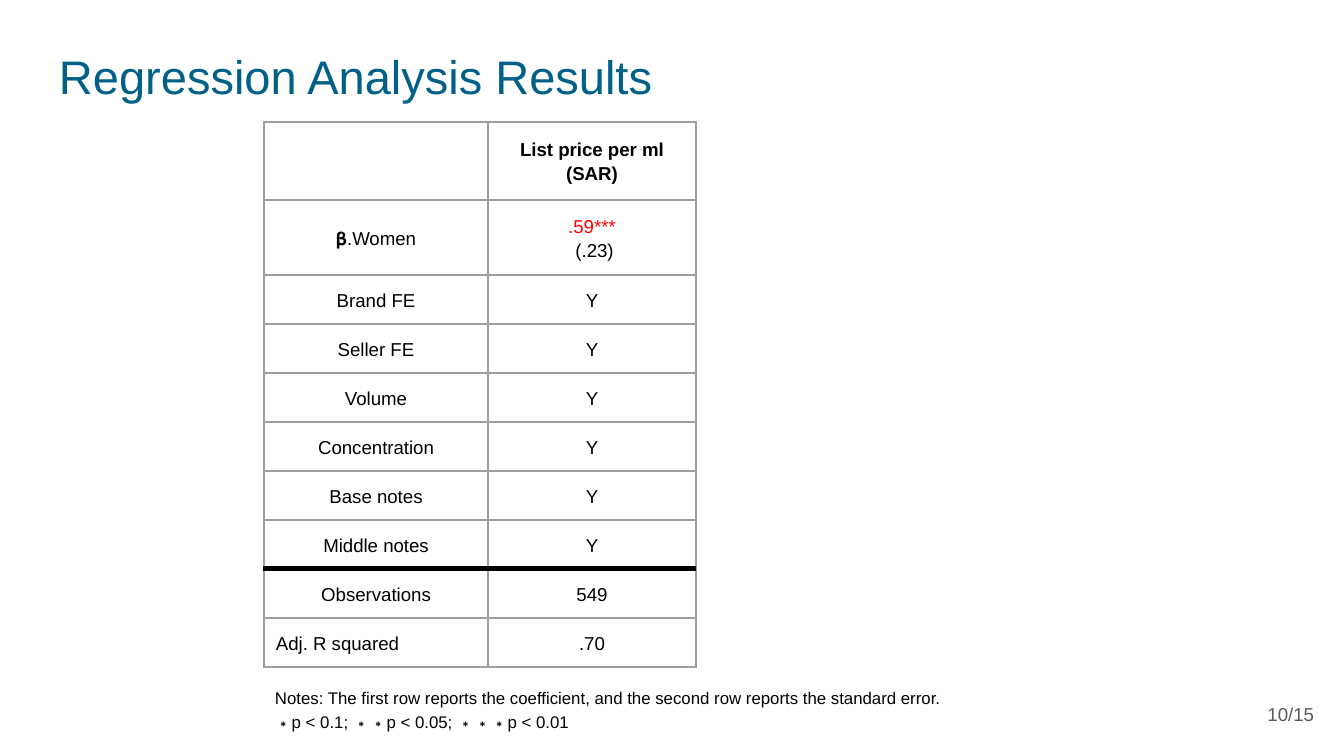
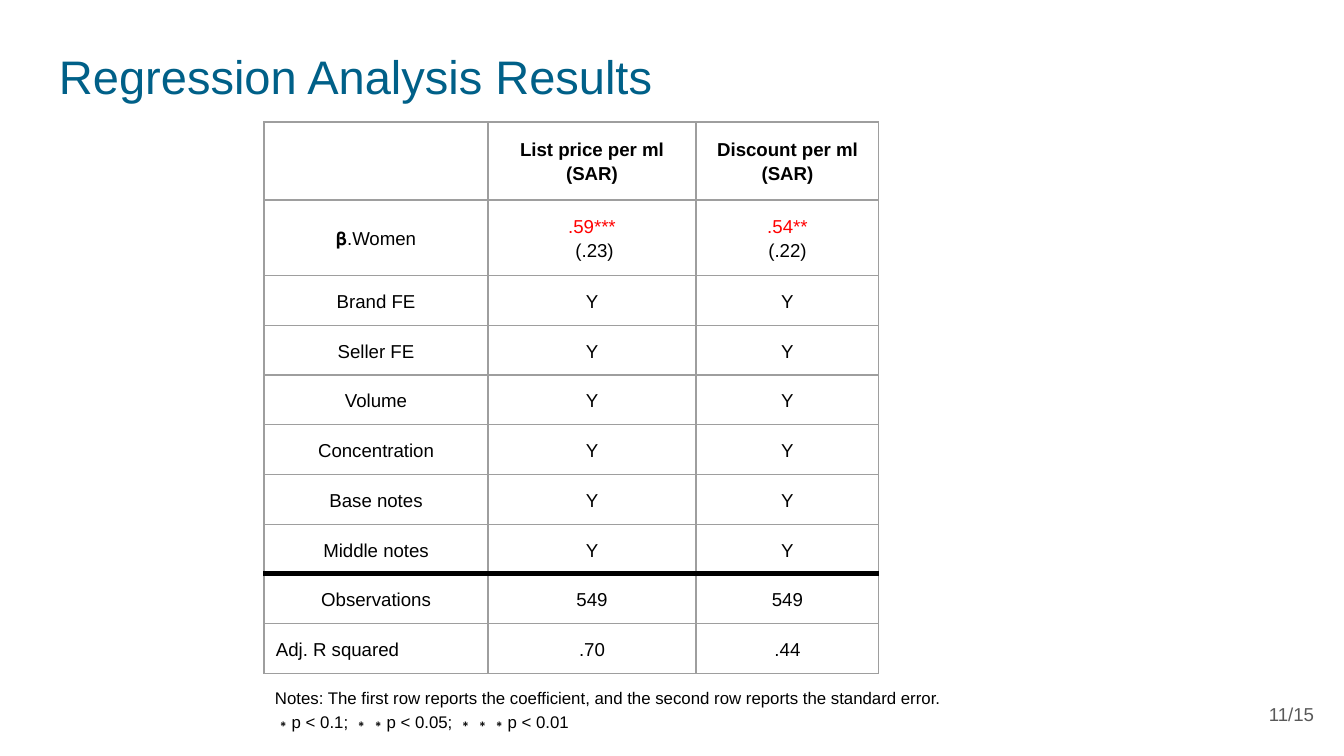
from copy import deepcopy

from lxml.etree import SubElement
from pptx import Presentation
from pptx.dml.color import RGBColor
from pptx.enum.text import MSO_ANCHOR, MSO_AUTO_SIZE, PP_ALIGN
from pptx.oxml.ns import qn
from pptx.util import Pt

PX = 9144000 / 1344
SLIDE_SIZE = (1344, 756)

FONT = "Arial"
TEAL = RGBColor(0x00, 0x60, 0x88)
BLACK = RGBColor(0x00, 0x00, 0x00)
RED = RGBColor(0xFF, 0x00, 0x00)
DARK_GRAY = RGBColor(0x59, 0x59, 0x59)
GRID_GRAY = RGBColor(0x9E, 0x9E, 0x9E)

TITLE = "Regression Analysis Results"
NOTES = [
    "Notes: The first row reports the coefficient, and the second row reports the standard error.",
    "∗p < 0.1; ∗∗p < 0.05; ∗∗∗p < 0.01",
]
CONTROLS = ["Brand FE", "Seller FE", "Volume", "Concentration", "Base notes", "Middle notes"]
LABELS = ["", "𝛃.Women", *CONTROLS, "Observations", "Adj. R squared"]
CHECKS = ["Y"] * len(CONTROLS)
LIST_PRICE = ["List price per ml (SAR)", [(".59***\n ", RED), ("(.23)", BLACK)], *CHECKS, "549", ".70"]
DISCOUNT = ["Discount per ml (SAR)", [(".54**\n", RED), ("(.22)", BLACK)], *CHECKS, "549", ".44"]
PAGES = [
    ("10/15", [LABELS, LIST_PRICE]),
    ("11/15", [LABELS, LIST_PRICE, DISCOUNT]),
]

TITLE_AT = (46, 34, 1253, 85)
NUMBER_AT = (1246, 685, 81, 58)
NOTES_AT = (262, 672, 821, 71)
TABLE_LEFT, TABLE_TOP = 264, 122
COLUMN_WIDTHS = [224, 208, 183]
ROW_HEIGHTS = [78, 75] + [49] * (len(LABELS) - 2)
BOX_INSET, CELL_INSET = 13, 12
RULE_ROW = LABELS.index("Observations")
THIN, THICK = (GRID_GRAY, 0.75), (BLACK, 3)


def emu(*lengths):
    return [round(length * PX) for length in lengths]


def set_insets(target, inset):
    (margin,) = emu(inset)
    target.margin_left = target.margin_right = margin
    target.margin_top = target.margin_bottom = margin


def write(para, text, size=10, color=BLACK, bold=False, align=PP_ALIGN.LEFT,
          line_spacing=None, space_after=None):
    """Fill a paragraph with a string or a list of (text, colour) spans."""
    para.alignment = align
    para.line_spacing = line_spacing
    para.space_after = space_after
    for content, span_color in [(text, color)] if isinstance(text, str) else text:
        for index, piece in enumerate(content.split("\n")):
            if index:
                para.add_line_break()
            if not piece:
                continue
            span = para.add_run()
            span.text = piece
            span.font.name, span.font.size, span.font.bold = FONT, Pt(size), bold
            span.font.color.rgb = span_color
    for line_break in para._p.findall(qn("a:br")):
        line_break.append(deepcopy(span._r.rPr))


def add_text(page, at, lines, anchor=MSO_ANCHOR.TOP, grow=False, **style):
    frame = page.shapes.add_textbox(*emu(*at)).text_frame
    frame.word_wrap = True
    frame.vertical_anchor = anchor
    frame.auto_size = MSO_AUTO_SIZE.SHAPE_TO_FIT_TEXT if grow else MSO_AUTO_SIZE.NONE
    set_insets(frame, BOX_INSET)
    for index, line in enumerate(lines):
        write(frame.add_paragraph() if index else frame.paragraphs[0], line, **style)


def set_borders(cell, top, bottom):
    properties = cell._tc.get_or_add_tcPr()
    for side, (color, width) in (("L", THIN), ("R", THIN), ("T", top), ("B", bottom)):
        line = SubElement(properties, qn(f"a:ln{side}"), w=str(Pt(width)))
        SubElement(SubElement(line, qn("a:solidFill")), qn("a:srgbClr"), val=str(color))


def add_results_table(page, columns):
    widths = COLUMN_WIDTHS[:len(columns)]
    table = page.shapes.add_table(
        len(LABELS), len(columns),
        *emu(TABLE_LEFT, TABLE_TOP, sum(widths), sum(ROW_HEIGHTS))).table
    table.first_row = table.horz_banding = False
    for column, width in zip(table.columns, emu(*widths)):
        column.width = width
    for row, height in zip(table.rows, emu(*ROW_HEIGHTS)):
        row.height = height
    for column_index, texts in enumerate(columns):
        for row_index, text in enumerate(texts):
            cell = table.cell(row_index, column_index)
            set_borders(cell,
                        top=THICK if row_index == RULE_ROW else THIN,
                        bottom=THICK if row_index + 1 == RULE_ROW else THIN)
            cell.fill.background()
            cell.vertical_anchor = MSO_ANCHOR.MIDDLE
            set_insets(cell, CELL_INSET)
            if text:
                write(cell.text_frame.paragraphs[0], text, bold=row_index == 0,
                      align=PP_ALIGN.LEFT if text == LABELS[-1] else PP_ALIGN.CENTER,
                      line_spacing=1.15, space_after=Pt(14))


def main():
    deck = Presentation()
    deck.slide_width, deck.slide_height = emu(*SLIDE_SIZE)
    for number, columns in PAGES:
        page = deck.slides.add_slide(deck.slide_layouts[6])
        add_text(page, TITLE_AT, [TITLE], size=25.2, color=TEAL)
        add_results_table(page, columns)
        add_text(page, NUMBER_AT, [number], anchor=MSO_ANCHOR.MIDDLE,
                 color=DARK_GRAY, align=PP_ALIGN.RIGHT)
        add_text(page, NOTES_AT, NOTES, grow=True, size=9, line_spacing=1.15)
    deck.save("out.pptx")


if __name__ == "__main__":
    main()
